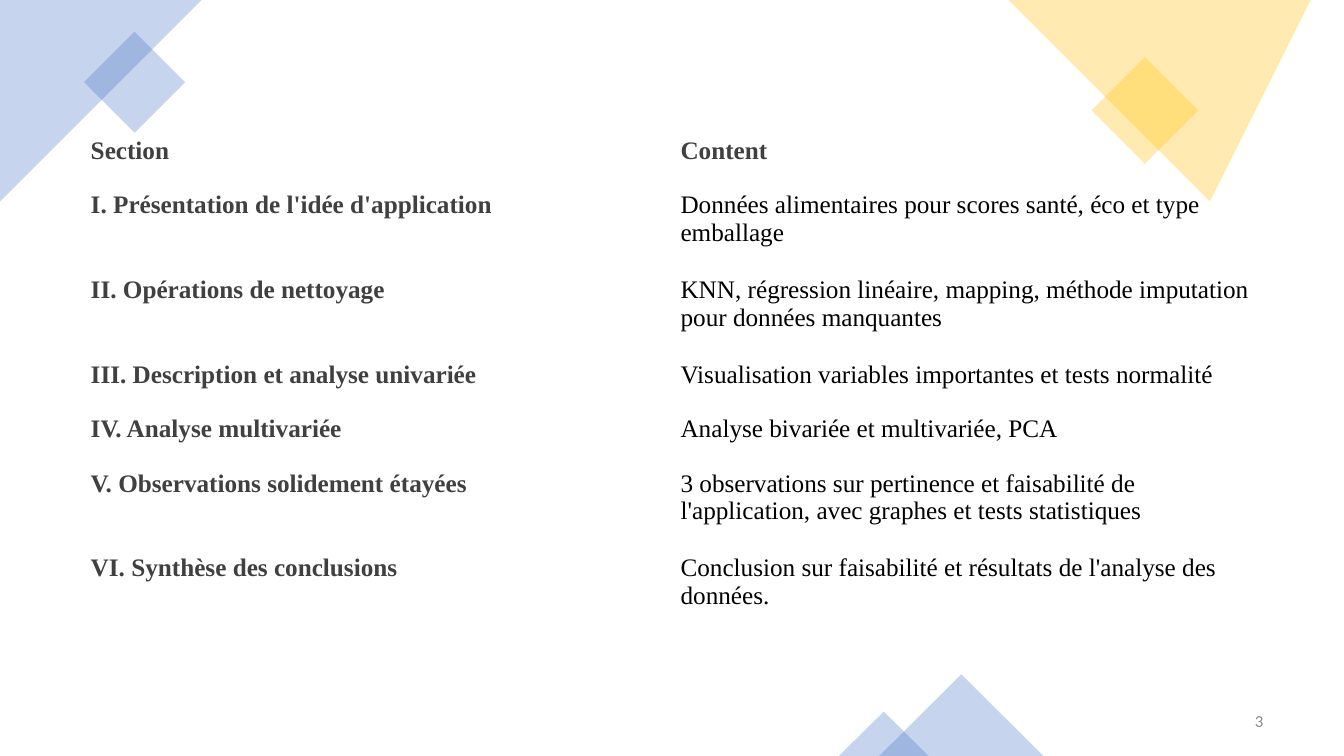
from dataclasses import dataclass

from pptx import Presentation
from pptx.dml.color import RGBColor
from pptx.enum.shapes import MSO_SHAPE
from pptx.enum.text import MSO_ANCHOR, PP_ALIGN
from pptx.oxml.ns import qn
from pptx.util import Inches, Pt

SECTIONS = [
    ("Section", "Content"),
    ("I. Présentation de l'idée d'application",
     "Données alimentaires pour scores santé, éco et type emballage"),
    ("II. Opérations de nettoyage",
     "KNN, régression linéaire, mapping, méthode imputation pour données manquantes"),
    ("III. Description et analyse univariée",
     "Visualisation variables importantes et tests normalité"),
    ("IV. Analyse multivariée", "Analyse bivariée et multivariée, PCA"),
    ("V. Observations solidement étayées",
     "3 observations sur pertinence et faisabilité de l'application, "
     "avec graphes et tests statistiques"),
    ("VI. Synthèse des conclusions",
     "Conclusion sur faisabilité et résultats de l'analyse des données."),
]
PAGE_NUMBER = "3"
COLUMN_WIDTHS = (5.85, 6.08)
ROW_HEIGHTS = (0.54, 0.84, 0.84, 0.54, 0.54, 0.84, 0.84)
PLAIN_TABLE_STYLE = "{2D5ABB26-0587-4C30-8999-92F81FD0307C}"


@dataclass(frozen=True)
class Theme:
    blue: str = "4472C4"
    yellow: str = "FFC000"
    heading: str = "404040"
    body: str = "000000"
    number: str = "8C8C8C"
    table_font: str = "Times New Roman"
    number_font: str = "Calibri"
    table_size: int = 18
    number_size: int = 12
    opacity: int = 30


THEME = Theme()

# Outlines are in page inches; squares and triangles are left, top, width, height.
CORNERS = [
    (THEME.blue, [(0, 0), (1.53, 0), (1.83, 0.3), (0.41, 1.71), (0, 1.3)]),
    (THEME.yellow, [(10.23, 0), (13.33, 0), (13.33, 0.28), (11.93, 1.62)]),
]
ACCENTS = [
    (MSO_SHAPE.RECTANGLE, THEME.blue, (0.98, 0.46, 0.71, 0.71), 315),
    (MSO_SHAPE.RECTANGLE, THEME.yellow, (10.98, 0.72, 0.75, 0.75), 315),
    (MSO_SHAPE.ISOSCELES_TRIANGLE, THEME.blue, (8.72, 6.69, 1.63, 0.81), 0),
    (MSO_SHAPE.ISOSCELES_TRIANGLE, THEME.blue, (8.32, 7.06, 0.89, 0.44), 0),
]


def tint(shape, color):
    """Give a shape a translucent fill without line or shadow."""
    shape.shadow.inherit = False
    shape.line.fill.background()
    shape.fill.solid()
    shape.fill.fore_color.rgb = RGBColor.from_string(color)
    color_element = shape.fill._xPr.find(qn("a:solidFill"))[0]
    alpha = color_element.makeelement(qn("a:alpha"), {"val": str(THEME.opacity * 1000)})
    color_element.append(alpha)


def format_text(paragraph, font_name, size, color, bold=False):
    for span in paragraph.runs:
        span.font.name = font_name
        span.font.size = Pt(size)
        span.font.bold = bold
        span.font.color.rgb = RGBColor.from_string(color)


def add_decorations(page):
    for color, points in CORNERS:
        builder = page.shapes.build_freeform(*points[0], scale=Inches(1))
        builder.add_line_segments(points[1:], close=True)
        tint(builder.convert_to_shape(), color)
    for kind, color, bounds, rotation in ACCENTS:
        shape = page.shapes.add_shape(kind, *map(Inches, bounds))
        shape.rotation = rotation
        tint(shape, color)


def add_page_number(page):
    box = page.shapes.add_textbox(Inches(9.63), Inches(6.95), Inches(3), Inches(0.4))
    frame = box.text_frame
    frame.word_wrap = True
    frame.vertical_anchor = MSO_ANCHOR.MIDDLE
    frame.text = PAGE_NUMBER
    para = frame.paragraphs[0]
    para.alignment = PP_ALIGN.RIGHT
    para.space_after = Pt(6)
    format_text(para, THEME.number_font, THEME.number_size, THEME.number)


def add_section_table(page):
    frame = page.shapes.add_table(
        len(SECTIONS), len(COLUMN_WIDTHS), Inches(0.7), Inches(1.26),
        Inches(sum(COLUMN_WIDTHS)), Inches(sum(ROW_HEIGHTS)))
    table = frame.table
    table.horz_banding = False
    table._tbl.tblPr.find(qn("a:tableStyleId")).text = PLAIN_TABLE_STYLE
    for column, width in zip(table.columns, COLUMN_WIDTHS):
        column.width = Inches(width)
    for row, height in zip(table.rows, ROW_HEIGHTS):
        row.height = Inches(height)
    for row_index, texts in enumerate(SECTIONS):
        for column_index, text in enumerate(texts):
            cell = table.cell(row_index, column_index)
            cell.fill.background()
            cell.margin_left, cell.margin_right = Inches(0.2), Inches(0.15)
            cell.margin_top = cell.margin_bottom = Inches(0.1)
            cell.text_frame.text = text
            is_heading = row_index == 0 or column_index == 0
            format_text(cell.text_frame.paragraphs[0], THEME.table_font, THEME.table_size,
                        THEME.heading if is_heading else THEME.body, is_heading)


def main():
    deck = Presentation()
    deck.slide_width, deck.slide_height = Inches(13.33), Inches(7.5)
    page = deck.slides.add_slide(deck.slide_layouts[6])
    add_decorations(page)
    add_page_number(page)
    add_section_table(page)
    deck.save("out.pptx")


if __name__ == "__main__":
    main()
